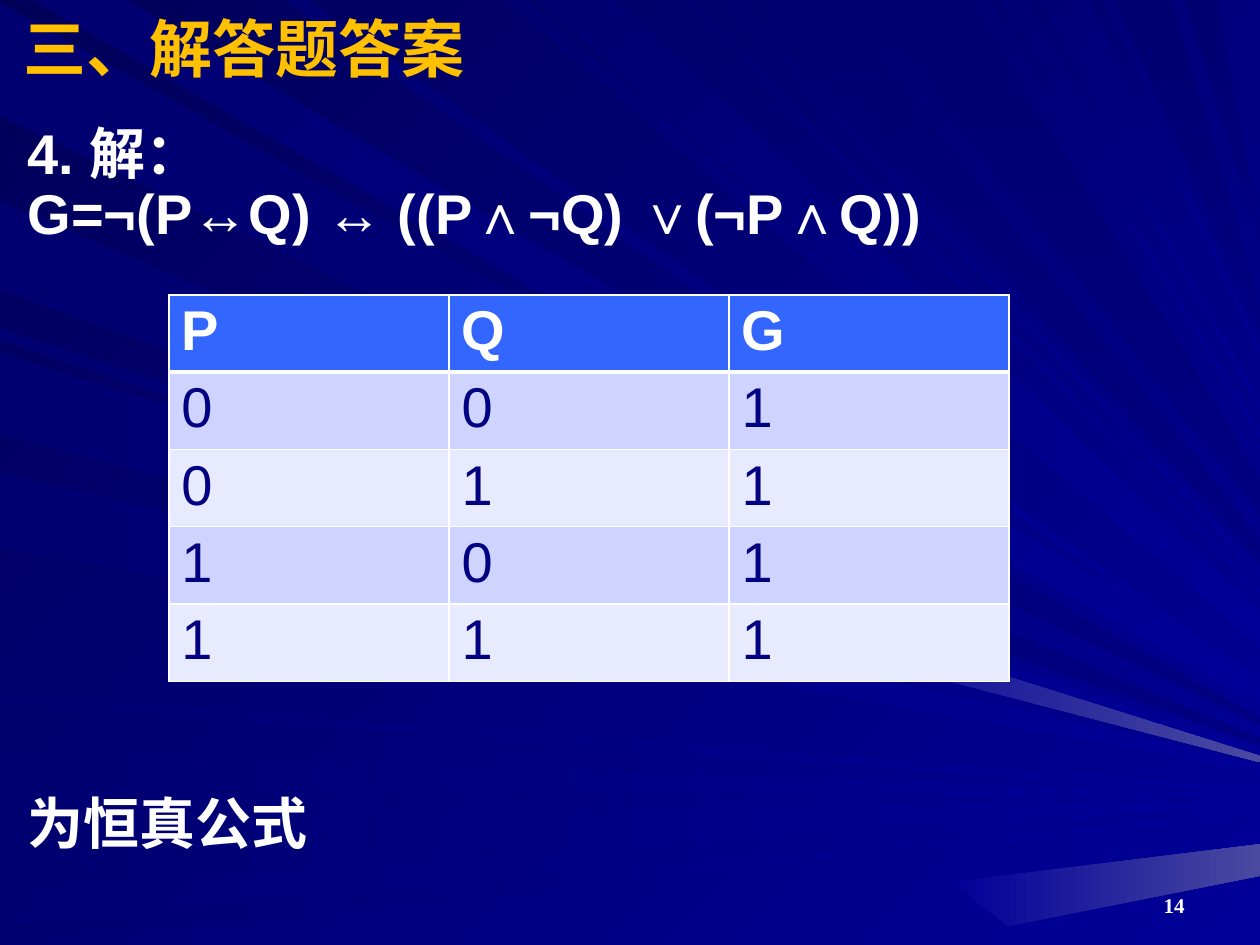
import math

from lxml import etree
from pptx import Presentation
from pptx.dml.color import RGBColor
from pptx.enum import text
from pptx.oxml import ns
from pptx.util import Inches, Pt

WHITE = RGBColor(0xFF, 0xFF, 0xFF)
GOLD = RGBColor(0xFF, 0xC0, 0x00)
NAVY = RGBColor(0x00, 0x00, 0x80)
BLUE = RGBColor(0x00, 0x00, 0x99)
MIDNIGHT = RGBColor(0x00, 0x00, 0x58)
SHADE = RGBColor(0x00, 0x00, 0x70)
GLOW = RGBColor(0x4A, 0x4A, 0xA1)
HEADER_BLUE = RGBColor(0x33, 0x66, 0xFF)
BANDS = (RGBColor(0xCE, 0xD3, 0xFF), RGBColor(0xE8, 0xEA, 0xFF))
CJK = "Noto Sans CJK SC"

HEADING = "三、解答题答案"
PROBLEM = ["4. 解：", "G=¬(P↔Q) ↔ ((P∧¬Q) ∨(¬P∧Q))"]
CONCLUSION = ["为恒真公式"]
PAGE = "14"
TRUTH_TABLE = ["PQG", "001", "011", "101", "111"]

WIDTH, HEIGHT = 10, 7.5
# Beams of light by where they enter the slide: start and breadth in inches
LEFT_BEAMS = [(0.02, 0.9), (1.6, 0.7), (2.6, 0.1), (2.8, 0.65), (3.75, 0.6),
              (5.5, 0.1), (5.95, 0.3), (6.45, 0.6), (7.35, 0.15)]
TOP_BEAMS = [(0.25, 0.75), (2.25, 0.2), (4, 0.2), (4.25, 0.65), (5.4, 0.1),
             (5.75, 0.1), (6.05, 0.55), (6.85, 0.85), (7.85, 0.1), (8.15, 0.1),
             (8.65, 0.1), (8.85, 0.45), (9.4, 0.25)]
GLINTS = [[(6.35, 5.1), (6.35, 4.85), (WIDTH, 6), (WIDTH, 6.05)],
          [(7.55, 7), (WIDTH, 6.7), (WIDTH, 6.95), (8, 7.35)]]


def paint(fill, start, end, angle=0):
    """Fill with a gradient turned clockwise by angle."""
    fill.gradient()
    fill.gradient_angle = (360 - angle) % 360
    for stop, colour in zip(fill.gradient_stops, (start, end)):
        stop.color.rgb = colour


def draw_ray(corners, start, end, angle=0):
    """Draw one closed ray through corners given in inches."""
    points = [(x * 100, y * 100) for x, y in corners]
    outline = slide.shapes.build_freeform(*points[0], scale=Inches(0.01))
    outline.add_line_segments(points[1:], close=True)
    ray = outline.convert_to_shape()
    ray.shadow.inherit = False
    ray.line.fill.background()
    paint(ray.fill, start, end, angle)


def write(frame, lines, size=32, font="Arial", color=WHITE, bold=True,
          align=text.PP_ALIGN.LEFT, anchor=text.MSO_ANCHOR.TOP, spacing=1.0):
    """Put lines of formatted text into a text frame, one paragraph each."""
    frame.word_wrap = True
    frame.vertical_anchor = anchor
    for index, line in enumerate(lines):
        paragraph = frame.add_paragraph() if index else frame.paragraphs[0]
        paragraph.alignment = align
        paragraph.line_spacing = spacing
        paragraph.space_before = Pt(0)
        run = paragraph.add_run()
        run.text = line
        run.font.size, run.font.name, run.font.bold = Pt(size), font, bold
        run.font.color.rgb = color
        etree.SubElement(run.font._element, ns.qn("a:ea"), typeface=CJK)


def border(cell, bottom=1):
    """Draw white cell borders, with the bottom width in points."""
    props = cell._tc.get_or_add_tcPr()
    for index, (side, width) in enumerate(zip("LRTB", (1, 1, 1, bottom))):
        line = etree.Element(ns.qn(f"a:ln{side}"), w=str(Pt(width)))
        fill = etree.SubElement(line, ns.qn("a:solidFill"))
        etree.SubElement(fill, ns.qn("a:srgbClr"), val=str(WHITE))
        props.insert(index, line)


prs = Presentation()
prs.slide_width, prs.slide_height = Inches(WIDTH), Inches(HEIGHT)
slide = prs.slides.add_slide(prs.slide_layouts[5])
paint(slide.background.fill, MIDNIGHT, BLUE, 45)

# Left beams run to the right edge, a little lower each time
for y, breadth in LEFT_BEAMS:
    tip = 5.7 + y / 10
    draw_ray([(0, y), (0, y + breadth), (WIDTH, tip + 0.05), (WIDTH, tip)],
             SHADE, NAVY if y < 2 else BLUE)
# Tips of the top beams follow a quarter ellipse; broad beams stay darker
for x, breadth in TOP_BEAMS:
    tip = 5.6 * math.sqrt(1 - (x / WIDTH) ** 2)
    draw_ray([(x, 0), (x + breadth, 0), (WIDTH, tip - breadth / 3), (WIDTH, tip)],
             SHADE, NAVY if x > 6 and breadth > 0.2 else BLUE, 90 if x > 6 else 45)
for corners in GLINTS:
    draw_ray(corners, BLUE, GLOW)

heading = slide.shapes.title
heading.left, heading.top = Inches(0.09), Inches(0.02)
heading.width, heading.height = Inches(9.83), Inches(0.71)
write(heading.text_frame, [HEADING], size=36, font=CJK, color=GOLD,
      anchor=text.MSO_ANCHOR.MIDDLE)
slide.shapes._spTree.append(heading._element)

for lines, at, style in [
    (PROBLEM, (0.12, 0.95, 9.77, 1.3), {"spacing": 0.9}),
    (CONCLUSION, (0.12, 6.27, 9.77, 0.75), {"spacing": 0.9}),
    ([PAGE], (7.17, 6.83, 2.33, 0.5),
     {"size": 12, "font": "Times New Roman", "align": text.PP_ALIGN.RIGHT,
      "anchor": text.MSO_ANCHOR.BOTTOM}),
]:
    write(slide.shapes.add_textbox(*map(Inches, at)).text_frame, lines, **style)

truth = slide.shapes.add_table(
    len(TRUTH_TABLE), 3, Inches(1.34), Inches(2.34), Inches(6.67), Inches(3)).table
for r, values in enumerate(TRUTH_TABLE):
    for c, value in enumerate(values):
        cell = truth.cell(r, c)
        cell.margin_top = cell.margin_bottom = Inches(0.04)
        cell.fill.solid()
        cell.fill.fore_color.rgb = BANDS[(r - 1) % 2] if r else HEADER_BLUE
        border(cell, bottom=1 if r else 3)
        write(cell.text_frame, [value], color=NAVY if r else WHITE, bold=r == 0)

prs.save("out.pptx")
